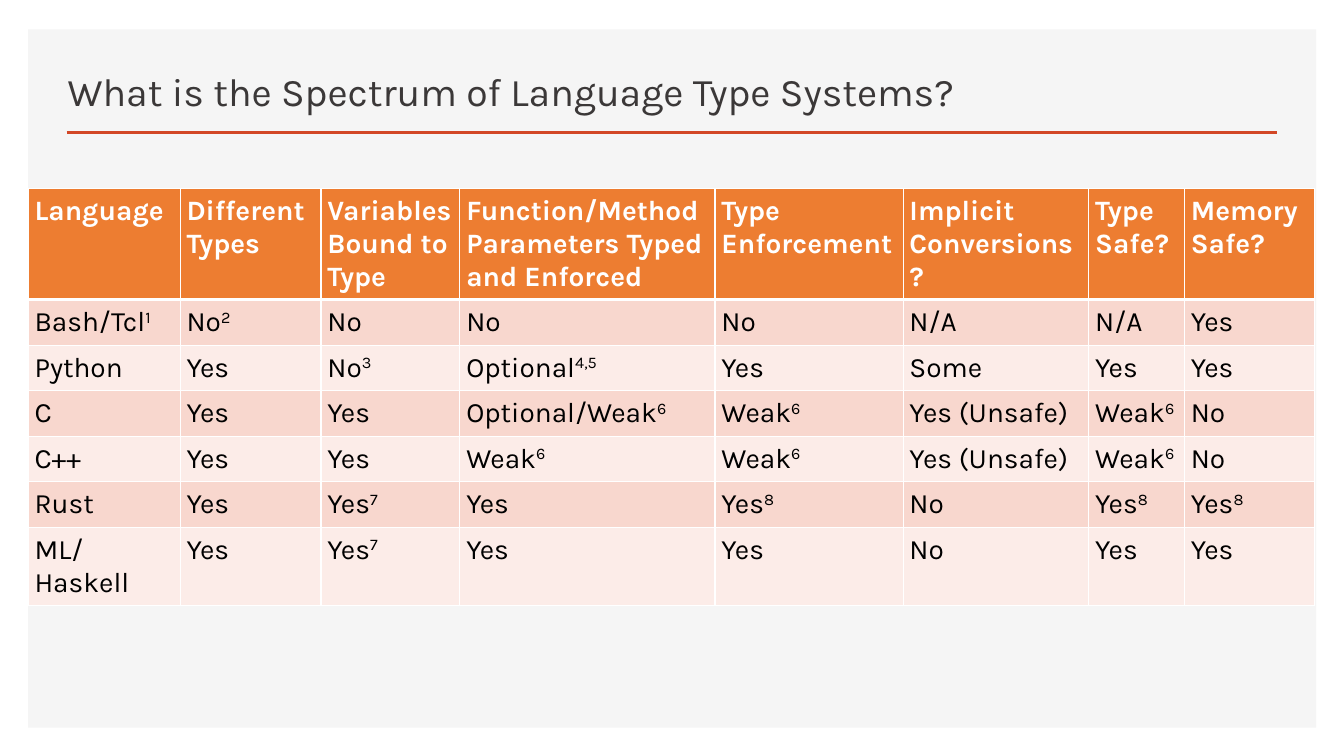
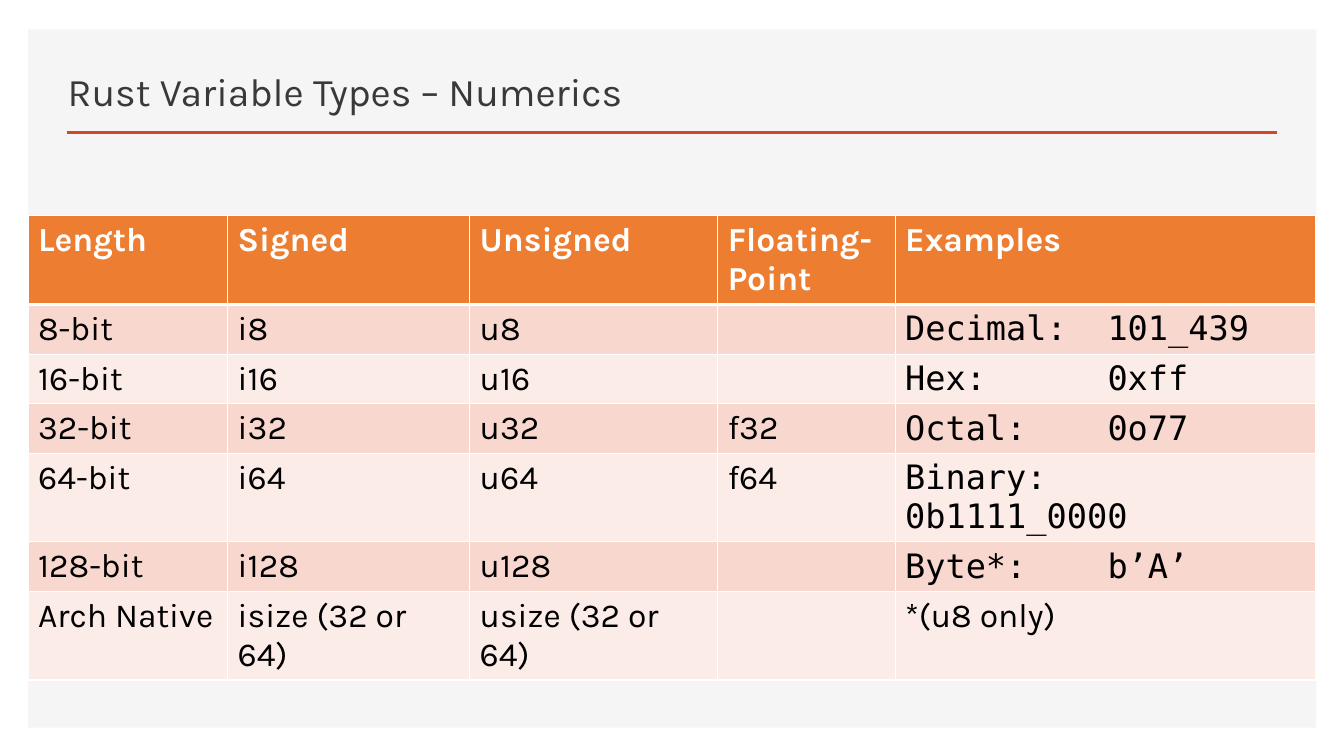
from lxml import etree
from pptx import Presentation
from pptx.dml.color import RGBColor
from pptx.enum import shapes, text
from pptx.oxml import ns
from pptx.util import Cm, Pt

WHITE = RGBColor(0xFF, 0xFF, 0xFF)
BLACK = RGBColor(0x00, 0x00, 0x00)
PANEL = RGBColor(0xF5, 0xF5, 0xF5)
RULE = RGBColor(0xD2, 0x47, 0x26)
TITLE = RGBColor(0x3B, 0x38, 0x38)
HEADER = RGBColor(0xED, 0x7D, 0x31)
BANDS = (RGBColor(0xF8, 0xD7, 0xCE), RGBColor(0xFC, 0xEC, 0xE8))
BODY_FONT = "Karla"
CODE_FONT = "DejaVu Sans Mono"
EDGE = Cm(0.71)
ROW_HEIGHT = Cm(1.03)
CODE_TAB = Cm(5.1)

TABLES = [
    {
        "title": "What is the Spectrum of Language Type Systems?",
        "top": 4.75,
        "size": 20,
        "margins": (0.16, 0.16),
        "widths": (3.83, 3.55, 3.5, 6.43, 4.74, 4.68, 2.41, 3.28),
        "rows": [
            ("Language", "Different Types", "Variables Bound to Type",
             "Function/Method Parameters Typed and Enforced", "Type Enforcement",
             "Implicit Conversions?", "Type Safe?", "Memory Safe?"),
            ("Bash/Tcl^1", "No^2", "No", "No", "No", "N/A", "N/A", "Yes"),
            ("Python", "Yes", "No^3", "Optional^4,5", "Yes", "Some", "Yes", "Yes"),
            ("C", "Yes", "Yes", "Optional/Weak^6", "Weak^6", "Yes (Unsafe)", "Weak^6", "No"),
            ("C++", "Yes", "Yes", "Weak^6", "Weak^6", "Yes (Unsafe)", "Weak^6", "No"),
            ("Rust", "Yes", "Yes^7", "Yes", "Yes^8", "No", "Yes^8", "Yes^8"),
            ("ML/Haskell", "Yes", "Yes^7", "Yes", "Yes", "No", "Yes", "Yes"),
        ],
    },
    {
        "title": "Rust Variable Types – Numerics",
        "top": 5.44,
        "size": 24,
        "margins": (0.25, 0.13),
        "widths": (5.03, 6.1, 6.25, 4.47, 10.59),
        "rows": [
            ("Length", "Signed", "Unsigned", "Floating-Point", "Examples"),
            ("8-bit", "i8", "u8", "", "Decimal:\t101_439"),
            ("16-bit", "i16", "u16", "", "Hex:\t0xff"),
            ("32-bit", "i32", "u32", "f32", "Octal:\t0o77"),
            ("64-bit", "i64", "u64", "f64", "Binary:\t0b1111_0000"),
            ("128-bit", "i128", "u128", "", "Byte*:\tb’A’"),
            ("Arch Native", "isize (32 or 64)", "usize (32 or 64)", "", "*(u8 only)"),
        ],
    },
]


def add_borders(cell, bottom_width):
    properties = cell._tc.get_or_add_tcPr()
    for side, width in (("lnL", 1), ("lnR", 1), ("lnT", 1), ("lnB", bottom_width)):
        line = etree.SubElement(properties, ns.qn(f"a:{side}"), w=str(Pt(width)))
        fill = etree.SubElement(line, ns.qn("a:solidFill"))
        etree.SubElement(fill, ns.qn("a:srgbClr"), val=str(WHITE))


def write_cell(cell, content, size, color, bold):
    para = cell.text_frame.paragraphs[0]
    name = BODY_FONT
    if "\t" in content:
        name = CODE_FONT
        tabs = etree.SubElement(para._p.get_or_add_pPr(), ns.qn("a:tabLst"))
        etree.SubElement(tabs, ns.qn("a:tab"), pos=str(CODE_TAB), algn="l")
    for index, part in enumerate(content.split("^")):
        span = para.add_run()
        span.text = part
        for key, value in {"name": name, "size": Pt(size), "bold": bold}.items():
            setattr(span.font, key, value)
        span.font.color.rgb = color
        if index:
            span._r.get_or_add_rPr().set("baseline", "30000")


deck = Presentation()
deck.slide_width, deck.slide_height = Cm(33.87), Cm(19.05)
layout = deck.slide_layouts.get_by_name("Title Only")
heading = layout.placeholders[0]
for key, value in {"left": 1.45, "top": 1.24, "width": 30.89, "height": 1.78}.items():
    setattr(heading, key, Cm(value))

pages = [deck.slides.add_slide(layout) for _ in TABLES]

panel = pages[0].shapes.add_shape(
    shapes.MSO_SHAPE.RECTANGLE, EDGE, Cm(0.74), Cm(32.46), Cm(17.6))
panel.shadow.inherit = False
panel.fill.solid()
panel.fill.fore_color.rgb = PANEL
panel.line.fill.background()
rule = pages[0].shapes.add_connector(
    shapes.MSO_CONNECTOR.STRAIGHT, Cm(1.68), Cm(3.33), Cm(32.18), Cm(3.33))
rule.line.color.rgb = RULE
rule.line.width = Pt(2)
etree.SubElement(rule._element.spPr, ns.qn("a:effectLst"))
for position, shape in enumerate((panel, rule), start=2):
    layout.shapes.element.insert(position, shape._element)

for page, content in zip(pages, TABLES):
    title = page.shapes.title
    title.text = content["title"]
    title.text_frame.vertical_anchor = text.MSO_ANCHOR.BOTTOM
    para = title.text_frame.paragraphs[0]
    para.alignment = text.PP_ALIGN.LEFT
    span = para.runs[0]
    for key, value in {"name": BODY_FONT, "size": Pt(28)}.items():
        setattr(span.font, key, value)
    span.font.color.rgb = TITLE

    rows, widths = content["rows"], content["widths"]
    table = page.shapes.add_table(
        len(rows), len(widths), EDGE, Cm(content["top"]),
        Cm(sum(widths)), ROW_HEIGHT * len(rows)).table
    for column, width in zip(table.columns, widths):
        column.width = Cm(width)
    side, end = content["margins"]
    margins = {"margin_left": side, "margin_right": side,
               "margin_top": end, "margin_bottom": end}
    for row_index, row in enumerate(rows):
        is_header = row_index == 0
        for column_index, value in enumerate(row):
            cell = table.cell(row_index, column_index)
            for key, margin in margins.items():
                setattr(cell, key, Cm(margin))
            add_borders(cell, 3 if is_header else 1)
            cell.fill.solid()
            cell.fill.fore_color.rgb = HEADER if is_header else BANDS[(row_index - 1) % 2]
            if value:
                write_cell(cell, value, content["size"],
                           WHITE if is_header else BLACK, is_header)

deck.save("out.pptx")
